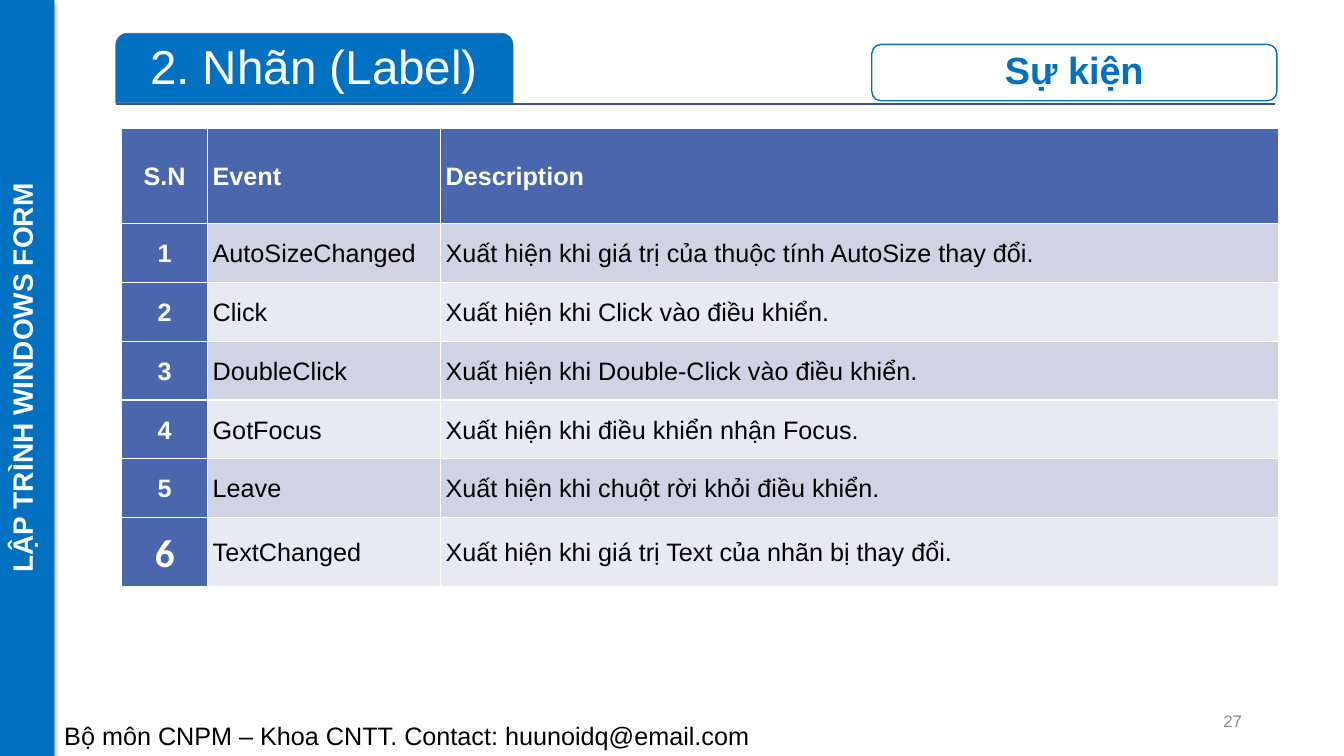
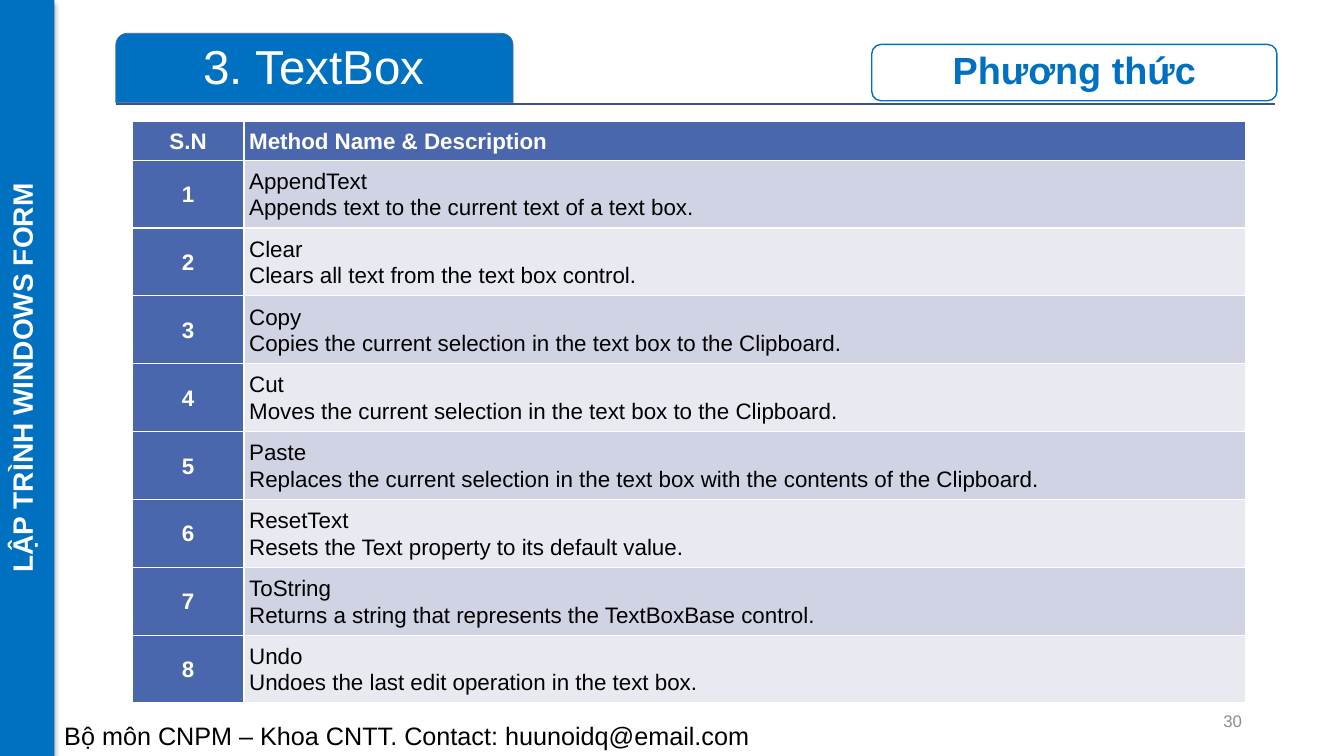
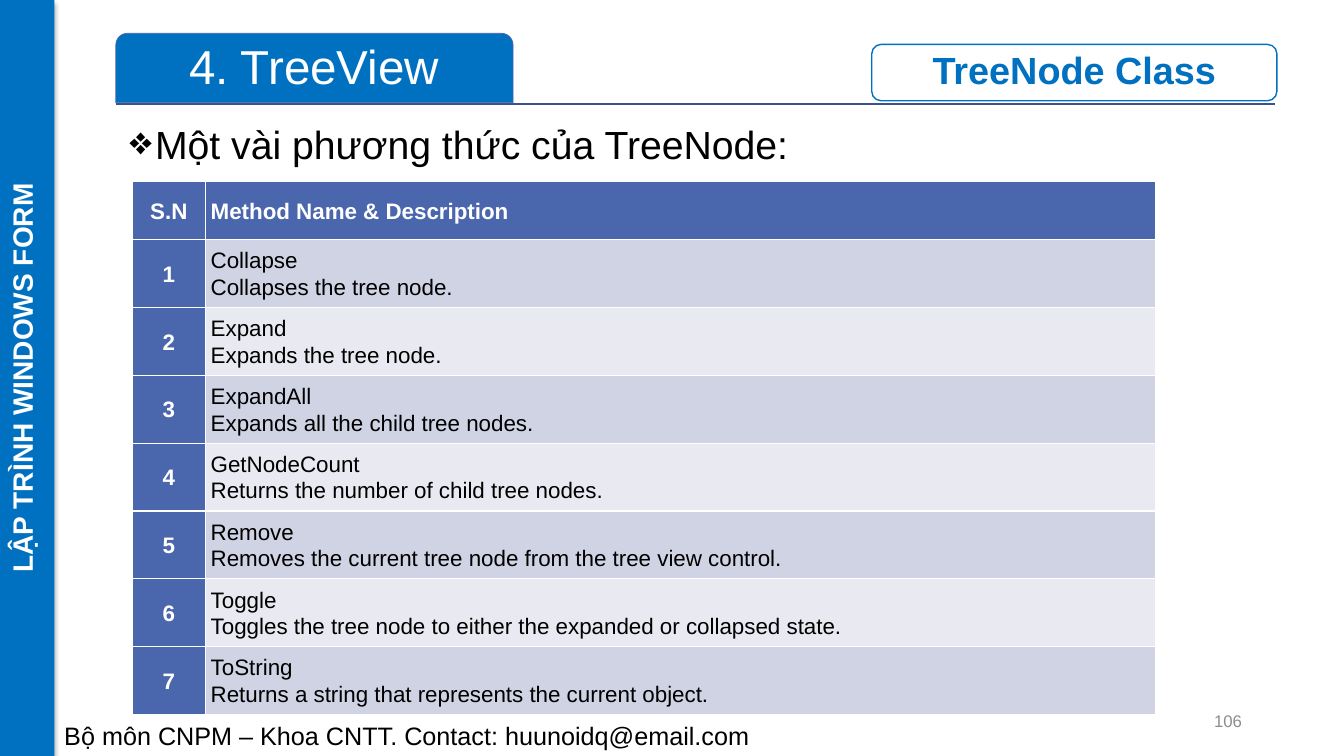
from lxml import etree
from pptx import Presentation
from pptx.dml.color import RGBColor
from pptx.enum.shapes import MSO_CONNECTOR, MSO_SHAPE
from pptx.enum.text import MSO_ANCHOR, PP_ALIGN
from pptx.oxml import parse_xml
from pptx.oxml.ns import nsdecls, qn
from pptx.util import Cm, Pt

LEFT, CENTER, RIGHT = PP_ALIGN.LEFT, PP_ALIGN.CENTER, PP_ALIGN.RIGHT
TOP, MIDDLE = MSO_ANCHOR.TOP, MSO_ANCHOR.MIDDLE
RECTANGLE, ROUNDED = MSO_SHAPE.RECTANGLE, MSO_SHAPE.ROUNDED_RECTANGLE
TAB = MSO_SHAPE.ROUND_2_SAME_RECTANGLE
STRAIGHT = MSO_CONNECTOR.STRAIGHT
TITLE_ONLY = 5
FONT = "Arial"
COLORS = {
    "blue": "0070C0",
    "header": "4A66AC",
    "rule": "3B528A",
    "odd": "D0D3E3",
    "even": "E9EAF1",
    "white": "FFFFFF",
    "black": "000000",
    "gray": "8C8C8C",
}
COURSE = "LẬP TRÌNH WINDOWS FORM"
CONTACT = "Bộ môn CNPM – Khoa CNTT. Contact: huunoidq@email.com"

LABEL_EVENTS = [
    ("AutoSizeChanged", "Xuất hiện khi giá trị của thuộc tính AutoSize thay đổi."),
    ("Click", "Xuất hiện khi Click vào điều khiển."),
    ("DoubleClick", "Xuất hiện khi Double-Click vào điều khiển."),
    ("GotFocus", "Xuất hiện khi điều khiển nhận Focus."),
    ("Leave", "Xuất hiện khi chuột rời khỏi điều khiển."),
    ("TextChanged", "Xuất hiện khi giá trị Text của nhãn bị thay đổi."),
]
TEXTBOX_METHODS = [
    ("AppendText", "Appends text to the current text of a text box."),
    ("Clear", "Clears all text from the text box control."),
    ("Copy", "Copies the current selection in the text box to the Clipboard."),
    ("Cut", "Moves the current selection in the text box to the Clipboard."),
    ("Paste", "Replaces the current selection in the text box with the contents of the Clipboard."),
    ("ResetText", "Resets the Text property to its default value."),
    ("ToString", "Returns a string that represents the TextBoxBase control."),
    ("Undo", "Undoes the last edit operation in the text box."),
]
TREENODE_METHODS = [
    ("Collapse", "Collapses the tree node."),
    ("Expand", "Expands the tree node."),
    ("ExpandAll", "Expands all the child tree nodes."),
    ("GetNodeCount", "Returns the number of child tree nodes."),
    ("Remove", "Removes the current tree node from the tree view control."),
    ("Toggle", "Toggles the tree node to either the expanded or collapsed state."),
    ("ToString", "Returns a string that represents the current object."),
]


def rgb(name):
    """Return the palette colour of that name."""
    return RGBColor.from_string(COLORS[name])


class Deck:
    """Hold the lecture style and the slide being built."""

    def __init__(self):
        """Start an empty widescreen presentation."""
        self.prs = Presentation()
        self.prs.slide_width, self.prs.slide_height = Cm(33.87), Cm(19.05)
        self.slide = None

    def fill_text(self, frame, text, size, color, bold=False, align=LEFT, anchor=TOP, spacing=1.0):
        """Put one styled paragraph into a text frame."""
        frame.word_wrap = True
        frame.vertical_anchor = anchor
        line = frame.paragraphs[0]
        line.text = text
        line.alignment = align
        line.line_spacing = spacing
        line.font.name, line.font.size, line.font.bold = FONT, Pt(size), bold
        line.font.color.rgb = rgb(color)
        return line

    def text(self, box, text, size, color, **style):
        """Add a text box."""
        frame = self.slide.shapes.add_textbox(*map(Cm, box)).text_frame
        return self.fill_text(frame, text, size, color, **style)

    def shape(self, kind, box, fill, line=None, width=1):
        """Add a flat preset shape."""
        shape = self.slide.shapes.add_shape(kind, *map(Cm, box))
        shape.shadow.inherit = False
        shape.fill.solid()
        shape.fill.fore_color.rgb = rgb(fill)
        if line:
            shape.line.color.rgb = rgb(line)
            shape.line.width = Pt(width)
        else:
            shape.line.fill.background()
        return shape

    def rule(self, left, right, y):
        """Add the thin line under the heading."""
        rule = self.slide.shapes.add_connector(STRAIGHT, Cm(left), Cm(y), Cm(right), Cm(y))
        rule.line.color.rgb = rgb("rule")
        rule.line.width = Pt(1)
        etree.SubElement(rule.element.spPr, qn("a:effectLst"))

    def title(self, text):
        """Set the title on its blue tab."""
        title = self.slide.shapes.title
        tab = self.shape(TAB, (2.92, 0.84, 10.01, 1.75), "blue", "header", 0.5)
        tab.element.addnext(title.element)
        title.left, title.top, title.width, title.height = map(Cm, (3, 0.91, 9.83, 1.68))
        frame = title.text_frame
        frame.margin_left = frame.margin_right = frame.margin_top = frame.margin_bottom = Cm(0.18)
        self.fill_text(frame, text, 34, "white", align=CENTER, anchor=MIDDLE, spacing=0.9)

    def badge(self, text):
        """Add the outlined topic badge."""
        badge = self.shape(ROUNDED, (21.97, 1.12, 10.21, 1.42), "white", "blue")
        self.fill_text(badge.text_frame, text, 27, "blue", bold=True, align=CENTER,
                       anchor=MIDDLE, spacing=0.9)

    def sidebar(self):
        """Add the vertical course band with its soft shadow."""
        band = self.shape(RECTANGLE, (0, 0, 1.37, 19.05), "blue")
        self.fill_text(band.text_frame, COURSE, 20, "white", bold=True, align=CENTER)
        band.element.txBody.bodyPr.set("vert", "vert270")
        effects = band.element.spPr.find(qn("a:effectLst"))
        effects.append(parse_xml(
            f'<a:outerShdw {nsdecls("a")} blurRad="{Pt(3.5)}" dist="{Pt(2.2)}" dir="5400000" '
            f'rotWithShape="0"><a:srgbClr val="{COLORS["black"]}"><a:alpha val="32000"/>'
            '</a:srgbClr></a:outerShdw>'))

    def new_slide(self, title, topic, number):
        """Begin a slide with everything the slides share."""
        self.slide = self.prs.slides.add_slide(self.prs.slide_layouts[TITLE_ONLY])
        self.text((1.37, 18.03, 32.49, 1.02), CONTACT, 18, "black")
        self.rule(2.92, 32.13, 2.62)
        self.title(title)
        self.badge(topic)
        self.text((23.93, 17.65, 7.62, 1.02), str(number), 12, "gray", align=RIGHT, anchor=MIDDLE)
        self.sidebar()

    def bullet(self, box, text):
        """Add a diamond bullet line."""
        line = self.text(box, text, 28, "black", spacing=0.9)
        line.space_before = Pt(10)
        props = line._p.get_or_add_pPr()
        props.set("marL", str(Cm(0.64)))
        props.set("indent", str(-Cm(0.64)))
        mark = parse_xml(f'<a:buChar {nsdecls("a")} char="❖"/>')
        props.find(qn("a:defRPr")).addprevious(mark)

    def table(self, left, top, widths, heights, header, rows, size):
        """Add a numbered table with a coloured header row and first column."""
        grid = [header] + [(str(n), *row) for n, row in enumerate(rows, 1)]
        frame = self.slide.shapes.add_table(
            len(grid), len(widths), Cm(left), Cm(top), Cm(sum(widths)), Cm(sum(heights)))
        table = frame.table
        table.first_col = True
        for column, width in zip(table.columns, widths):
            column.width = Cm(width)
        for r, values in enumerate(grid):
            table.rows[r].height = Cm(heights[r])
            for c, value in enumerate(values):
                cell = table.cell(r, c)
                heading = r == 0 or c == 0
                cell.margin_left = cell.margin_right = Cm(0.13)
                cell.margin_top = cell.margin_bottom = Cm(0.13)
                cell.vertical_anchor = MIDDLE
                cell.fill.solid()
                cell.fill.fore_color.rgb = rgb("header" if heading else "odd" if r % 2 else "even")
                self.fill_text(cell.text_frame, value, size, "white" if heading else "black",
                               bold=heading, align=LEFT if c else CENTER, anchor=MIDDLE,
                               spacing=1.07)
        return table

    def methods(self, left, top, widths, header_height, row_height, entries):
        """Add a table of method names, each above its description."""
        rows = [("\v".join(entry),) for entry in entries]
        heights = [header_height] + [row_height] * len(rows)
        self.table(left, top, widths, heights, ("S.N", "Method Name & Description"), rows, 16)


def main():
    """Build the three slides."""
    deck = Deck()

    deck.new_slide("2. Nhãn (Label)", "Sự kiện", 27)
    events = deck.table(3.07, 3.23, (2.16, 5.87, 21.11), [2.41] + [1.48] * 5 + [1.75],
                        ("S.N", "Event", "Description"), LABEL_EVENTS, 18)
    last_number = events.cell(6, 0).text_frame.paragraphs[0].font
    last_number.name, last_number.size = "Calibri", Pt(28)

    deck.new_slide("3. TextBox", "Phương thức", 30)
    deck.methods(3.33, 3.05, (2.82, 25.25), 0.96, 1.71, TEXTBOX_METHODS)

    deck.new_slide("4. TreeView", "TreeNode Class", 106)
    deck.bullet((3.02, 3.05, 29.21, 1.4), "Một vài phương thức của TreeNode:")
    deck.methods(3.33, 4.57, (1.85, 23.95), 1.47, 1.6, TREENODE_METHODS)

    deck.prs.save("out.pptx")


if __name__ == "__main__":
    main()
